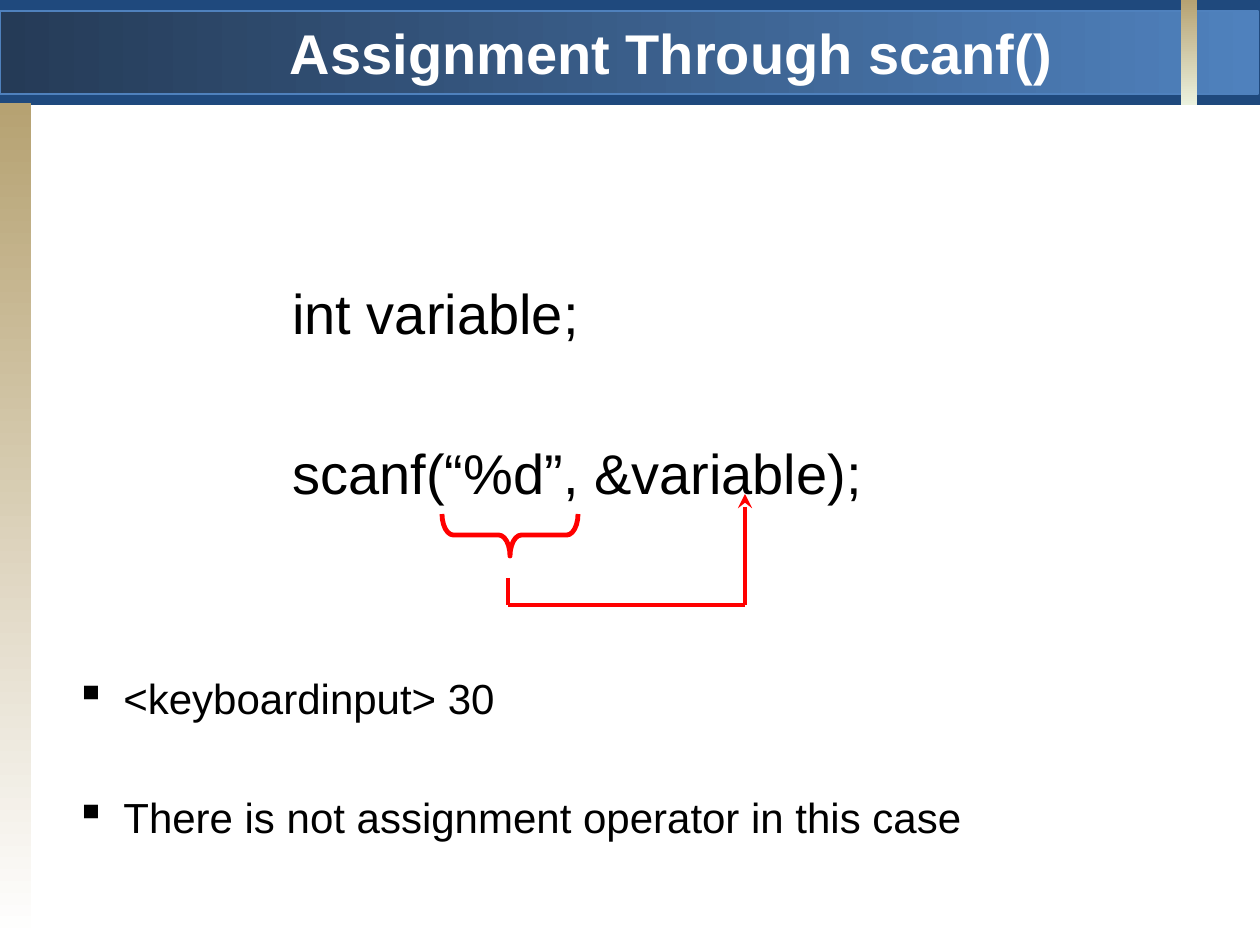
from lxml import etree
from pptx import Presentation
from pptx.dml.color import RGBColor
from pptx.enum.shapes import MSO_CONNECTOR, MSO_SHAPE
from pptx.enum.text import MSO_ANCHOR, PP_ALIGN
from pptx.oxml.ns import qn
from pptx.util import Emu, Pt

RECT, BRACE = MSO_SHAPE.RECTANGLE, MSO_SHAPE.RIGHT_BRACE
STRAIGHT = MSO_CONNECTOR.STRAIGHT
TOP, MIDDLE = MSO_ANCHOR.TOP, MSO_ANCHOR.MIDDLE
LEFT, CENTER = PP_ALIGN.LEFT, PP_ALIGN.CENTER

NAVY = RGBColor(0x1F, 0x49, 0x7D)
DUSK = RGBColor(0x25, 0x3B, 0x57)
BLUE = RGBColor(0x4F, 0x81, 0xBD)
TAN = RGBColor(0xB6, 0xA2, 0x72)
CREAM = RGBColor(0xEB, 0xF1, 0xDE)
WHITE = RGBColor(0xFF, 0xFF, 0xFF)
BLACK = RGBColor(0, 0, 0)
RED = RGBColor(0xFF, 0, 0)

FONT = "Arial"
SCALE = 914400 / 126
DOWN = 270  # gradient angle, counted anticlockwise


def px(n):
    return Emu(round(n * SCALE))


def place(item, x, y, w, h):
    item.left, item.top, item.width, item.height = map(px, (x, y, w, h))


def add_bar(slide, box, first, last=None, angle=0, edge=None):
    """Add a rectangle, plain or shading from first to last."""
    bar = slide.shapes.add_shape(RECT, *map(px, box))
    bar.shadow.inherit = False
    if last is None:
        bar.fill.solid()
        bar.fill.fore_color.rgb = first
    else:
        bar.fill.gradient()
        bar.fill.gradient_angle = angle
        for stop, color in zip(bar.fill.gradient_stops, (first, last)):
            stop.color.rgb = color
    if edge is None:
        bar.line.fill.background()
    else:
        bar.line.color.rgb = edge
        bar.line.width = Pt(0.75)


def write(para, text, size=32, color=BLACK, bold=False, align=LEFT,
          before=0, margin=0, bullet=None):
    para.alignment = align
    para.space_before = Pt(before)
    run = para.add_run()
    run.text = text
    run.font.name, run.font.size, run.font.bold = FONT, Pt(size), bold
    run.font.color.rgb = color
    props = para._p.get_or_add_pPr()
    props.set("marL", str(px(margin)))
    props.set("indent", str(px(-margin if bullet else 0)))
    if bullet:
        etree.SubElement(props, qn("a:buChar")).set("char", bullet)


def add_title(slide, text):
    title = slide.shapes.title
    place(title, 199, 16, 945, 73)
    title.text_frame.vertical_anchor = MIDDLE
    write(title.text_frame.paragraphs[0], text, color=WHITE, bold=True,
          align=CENTER)
    slide.shapes._spTree.append(title._element)  # in front of the bars


def add_body(slide):
    frame = slide.shapes.add_textbox(*map(px, (63, 189, 1134, 693))).text_frame
    frame.word_wrap = True
    frame.vertical_anchor = TOP
    frame.margin_top = px(90)
    code = {"margin": 217}
    point = {"size": 24, "margin": 48, "bullet": "▪"}
    rows = [
        ("int variable;", 0, code),
        ("scanf(“%d”, &variable);", 53, code),
        ("<keyboardinput> 30", 95, point),
        ("There is not assignment operator in this case", 39, point),
    ]
    for i, (text, before, style) in enumerate(rows):
        para = frame.add_paragraph() if i else frame.paragraphs[0]
        write(para, text, before=before, **style)


def ink(line):
    line.color.rgb = RED
    line.width = Pt(2.75)


def add_brace(slide):
    brace = slide.shapes.add_shape(BRACE, *map(px, (489, 467, 42, 136)))
    brace.rotation = 90
    brace.adjustments[0], brace.adjustments[1] = 0.27, 0.5
    brace.shadow.inherit = False
    brace.fill.background()
    ink(brace.line)


def add_route(slide, points):
    """Join the points with lines, the last one ending in an arrowhead."""
    for start, end in zip(points, points[1:]):
        link = slide.shapes.add_connector(STRAIGHT, *map(px, start + end))
        ink(link.line)
        etree.SubElement(link._element.spPr, qn("a:effectLst"))
    tail = etree.SubElement(link.line._get_or_add_ln(), qn("a:tailEnd"))
    tail.set("type", "stealth")


def main():
    deck = Presentation()
    deck.slide_width, deck.slide_height = px(1260), px(945)
    slide = deck.slides.add_slide(deck.slide_layouts[5])
    add_bar(slide, (0, 0, 1260, 105), NAVY)
    add_bar(slide, (0, 11, 1258, 83), DUSK, BLUE, edge=BLUE)
    add_bar(slide, (0, 103, 31, 837), TAN, WHITE, DOWN)
    add_bar(slide, (1181, 0, 16, 105), TAN, CREAM, DOWN)
    add_title(slide, "Assignment Through scanf()")
    add_body(slide)
    add_brace(slide)
    add_route(slide, [(508, 578), (508, 605), (745, 605), (745, 494)])
    deck.save("out.pptx")


if __name__ == "__main__":
    main()
